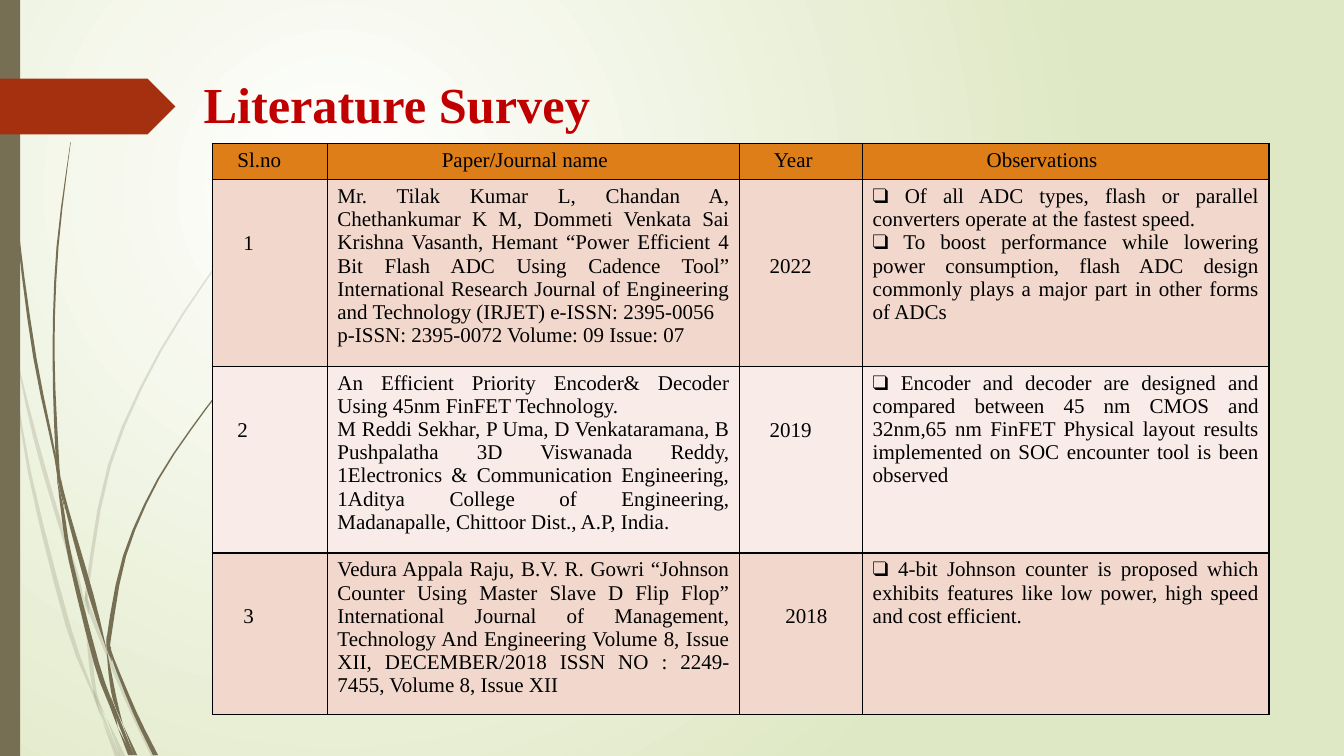
import dataclasses

import pptx
import pptx.dml.color
import pptx.enum.shapes
import pptx.enum.text
import pptx.oxml
import pptx.oxml.ns
import pptx.util

Cm = pptx.util.Cm
Pt = pptx.util.Pt
ALIGN = pptx.enum.text.PP_ALIGN
qn = pptx.oxml.ns.qn
DRAWING_NS = 'xmlns:a="http://schemas.openxmlformats.org/drawingml/2006/main"'


@dataclasses.dataclass(frozen=True)
class Theme:
    font: str = "Times New Roman"
    title_size: int = 36
    body_size: int = 15
    line_cm: float = 0.59
    title: str = "C00000"
    text: str = "000000"
    border: str = "000000"
    header: str = "DE7E18"
    bands: tuple = ("F2D8CC", "F9ECE8")
    stem: str = "766F54"
    tag: str = "A53010"
    glow: str = "FFFFFF"
    backdrop: str = "DFE8C4"


THEME = Theme()

# Pieces of grass: centre x, centre y and width along each piece, in cm
PALE_GRASS = [
    [(0, 7.16, 0), (.12, 8, .08), (.28, 8.89, 0)],
    [(.36, 8.76, 0), (.88, 11, .1), (1.52, 13.23, .1), (1.91, 14.43, .1), (2.13, 15.21, 0)],
    [(2.24, 15.14, 0), (2.29, 15.44, .1), (3.18, 17.6, .1), (3.87, 19.05, .13)],
    [(2.67, 18.06, 0), (3.09, 19.05, .13)],
    [(.28, 8.89, 0), (.75, 11.94, .08), (1.71, 15.75, .12), (2.35, 17.48, .05), (2.57, 18.14, 0)],
    [(2.13, 15.21, 0), (2.26, 16.41, .1), (2.4, 17.45, .08), (2.67, 18.06, 0)],
    [(7.92, 3.89, 0), (6.81, 5.02, .03), (5.8, 6.21, .04), (4.04, 8.85, .06),
     (2.76, 11.72, .08), (2.2, 14.83, .08), (2.24, 15.14, 0)],
    [(2.57, 18.14, 0), (2.96, 19.05, .13)],
    [(2.16, 14.88, 0), (2.18, 15.18, .1), (2.24, 15.49, 0)],
    [(2.36, 17.35, 0), (2.48, 17.78, .07), (3.02, 19.05, 0)],
]
DARK_GRASS = [
    [(.09, 0, .02), (.19, 2.79, .03), (.46, 5.92, .05), (.88, 9.02, .08),
     (1.4, 11.56, .05), (1.45, 12.22, 0)],
    [(1.52, 11.99, 0), (1.68, 12.8, .08), (2.3, 15.01, .13), (2.69, 16.38, 0)],
    [(2.79, 16.28, 0), (2.84, 16.58, .06), (3.4, 17.96, .1), (3.92, 19.03, .13)],
    [(1.45, 12.12, 0), (1.57, 12.83, .08), (1.78, 14.12, .1), (2.43, 16.71, .13),
     (2.81, 17.78, .1), (2.97, 18.34, 0)],
    [(1.78, 3.58, .01), (1.45, 6.22, .05), (1.35, 8.86, .05), (1.44, 11.43, .08), (1.52, 11.99, 0)],
    [(3.1, 18.26, 0), (3.42, 19.03, .08)],
    [(1.4, 11.4, 0), (1.49, 12.07, .08), (1.63, 12.83, 0)],
    [(6.62, 8.74, .03), (5.87, 9.49, .03), (5.19, 10.3, .04), (3.99, 12.07, .05),
     (3.14, 14.01, .08), (2.75, 16.05, .11), (2.79, 16.28, 0)],
    [(2.97, 18.34, 0), (3.28, 19.03, .1)],
    [(2.69, 16.38, 0), (2.78, 17, .08), (2.9, 17.65, .1), (3.1, 18.26, 0)],
    [(2.69, 16.03, 0), (2.74, 16.34, .1), (2.82, 16.66, 0)],
    [(2.79, 17.55, 0), (2.95, 18.05, .08), (3.34, 19.03, .08)],
]

# Column heading, its indent in cm, column width in cm
COLUMNS = [("Sl.no", .38, 2.9), ("Paper/Journal name", 2.63, 10.39),
           ("Year", .61, 3.1), ("Observations", 2.87, 10.24)]
HEADER_HEIGHT = .91

# Row height, then number and year as (text, indent in cm, lines down), papers, observations
SURVEY = [
    (4.3, ("1", .53, 2), ("2022", .5, 3),
     ["Mr. Tilak Kumar L, Chandan A, Chethankumar K M, Dommeti Venkata Sai Krishna Vasanth, "
      "Hemant “Power Efficient 4 Bit Flash ADC Using Cadence Tool” International Research "
      "Journal of Engineering and Technology (IRJET) e-ISSN: 2395-0056",
      "p-ISSN: 2395-0072 Volume: 09 Issue: 07"],
     [" Of all ADC types, flash or parallel converters operate at the fastest speed.",
      " To boost performance while lowering power consumption, flash ADC design commonly "
      "plays a major part in other forms of ADCs"]),
    (4.3, ("2", .38, 2), ("2019", .5, 2),
     ["An Efficient Priority Encoder& Decoder Using 45nm FinFET Technology.",
      "M Reddi Sekhar, P Uma, D Venkataramana, B Pushpalatha 3D Viswanada Reddy, "
      "1Electronics & Communication Engineering, 1Aditya College of Engineering, "
      "Madanapalle, Chittoor Dist., A.P, India."],
     [" Encoder and decoder are designed and compared between 45 nm CMOS and 32nm,65 nm "
      "FinFET Physical layout results implemented on SOC encounter tool is been observed"]),
    (3.7, ("3", .53, 2), ("2018", .9, 2),
     ["Vedura Appala Raju, B.V. R. Gowri “Johnson Counter Using Master Slave D Flip Flop” "
      "International Journal of Management, Technology And Engineering Volume 8, Issue XII, "
      "DECEMBER/2018 ISSN NO : 2249-7455, Volume 8, Issue XII"],
     [" 4-bit Johnson counter is proposed which exhibits features like low power, high speed "
      "and cost efficient."]),
]


def rgb(colour):
    return pptx.dml.color.RGBColor.from_string(colour)


def write(frame, lines, *, size=THEME.body_size, colour=THEME.text, bold=False,
          align=ALIGN.LEFT, indent=0, bullet=None):
    frame.word_wrap = True
    for index, line in enumerate(lines):
        paragraph = frame.paragraphs[0] if index == 0 else frame.add_paragraph()
        paragraph.alignment = align
        properties = paragraph._p.get_or_add_pPr()
        properties.set("marL", str(Cm(indent)))
        properties.set("indent", "0")
        if bullet:
            for mark in (f'buFont {DRAWING_NS} typeface="{THEME.font}"',
                         f'buChar {DRAWING_NS} char="{bullet}"'):
                properties.append(pptx.oxml.parse_xml(f"<a:{mark}/>"))
        run = paragraph.add_run()
        run.text = line
        run.font.name, run.font.size, run.font.bold = THEME.font, Pt(size), bold
        run.font.color.rgb = rgb(colour)
        paragraph._p.append(pptx.oxml.parse_xml(f'<a:endParaRPr {DRAWING_NS} sz="{size * 100}"/>'))


def paint(shape, colour, opacity=100):
    shape.shadow.inherit = False
    shape.fill.solid()
    shape.fill.fore_color.rgb = rgb(colour)
    shape.line.fill.background()
    if opacity < 100:
        tint = shape._element.spPr.find(qn("a:solidFill")).find(qn("a:srgbClr"))
        tint.append(pptx.oxml.parse_xml(f'<a:alpha {DRAWING_NS} val="{opacity * 1000}"/>'))


def smooth(knots, steps=3):
    """Catmull-Rom curve through the knots."""
    padded = [knots[0], *knots, knots[-1]]
    curve = []
    for a, b, c, d in zip(padded, padded[1:], padded[2:], padded[3:]):
        for t in (step / steps for step in range(steps)):
            curve.append(tuple(
                q + t * (r - p) / 2 + t**2 * (2 * p - 5 * q + 4 * r - s) / 2
                + t**3 * (3 * q - p - 3 * r + s) / 2
                for p, q, r, s in zip(a, b, c, d)))
    return curve + [knots[-1]]


def draw_backdrop(slide):
    fill = slide.background.fill
    fill.gradient()
    for stop, colour, position in zip(fill.gradient_stops, (THEME.glow, THEME.backdrop), (0, 1)):
        stop.color.rgb = rgb(colour)
        stop.position = position
    gradient = slide._element.find(".//" + qn("a:gradFill"))
    gradient.replace(gradient.find(qn("a:lin")), pptx.oxml.parse_xml(
        f'<a:path {DRAWING_NS} path="circle">'
        '<a:fillToRect l="50000" t="50000" r="100000" b="100000"/></a:path>'))


def draw_side_decor(slide, left, top, height):
    # Grass
    for pieces, opacity in ((PALE_GRASS, 20), (DARK_GRASS, 100)):
        for piece in pieces:
            curve = smooth(piece) if len(piece) > 2 else piece
            outline = [(Cm(x - w / 2), Cm(y)) for x, y, w in curve]
            outline += [(Cm(x + w / 2), Cm(y)) for x, y, w in reversed(curve)]
            builder = slide.shapes.build_freeform(*outline[0])
            builder.add_line_segments(outline[1:])
            paint(builder.convert_to_shape(Cm(left), Cm(top)), THEME.stem, opacity)
    # Edge bar and arrow tag
    preset = pptx.enum.shapes.MSO_SHAPE
    bar = slide.shapes.add_shape(preset.RECTANGLE, Cm(left), Cm(top), Cm(.51), Cm(height))
    paint(bar, THEME.stem)
    tag = slide.shapes.add_shape(preset.PENTAGON, Cm(left), Cm(top + 1.98), Cm(4.42), Cm(1.41))
    paint(tag, THEME.tag)


def draw_title(slide, left, top, width, height):
    title = slide.shapes.add_textbox(Cm(left), Cm(top), Cm(width), Cm(height))
    title.text_frame.vertical_anchor = pptx.enum.text.MSO_ANCHOR.TOP
    write(title.text_frame, ["Literature Survey"], size=THEME.title_size,
          colour=THEME.title, bold=True)


def fill_cell(cell, lines, colour, lines_down=0, **text_format):
    cell.fill.solid()
    cell.fill.fore_color.rgb = rgb(colour)
    cell.margin_top = Cm(.13 + THEME.line_cm * lines_down)
    for index, side in enumerate("LRTB"):
        cell._tc.tcPr.insert(index, pptx.oxml.parse_xml(
            f'<a:ln{side} {DRAWING_NS} w="{Pt(1)}"><a:solidFill>'
            f'<a:srgbClr val="{THEME.border}"/></a:solidFill></a:ln{side}>'))
    write(cell.text_frame, lines, **text_format)


def draw_survey(slide, left, top):
    widths = [width for _, _, width in COLUMNS]
    heights = [HEADER_HEIGHT] + [entry[0] for entry in SURVEY]
    survey = slide.shapes.add_table(len(heights), len(widths), Cm(left), Cm(top),
                                    Cm(sum(widths)), Cm(sum(heights))).table
    for row, height in zip(survey.rows, heights):
        row.height = Cm(height)
    # Headings
    for index, (heading, indent, width) in enumerate(COLUMNS):
        survey.columns[index].width = Cm(width)
        fill_cell(survey.cell(0, index), [heading], THEME.header, indent=indent)
    # Papers
    for row, (_, number, year, papers, observations) in enumerate(SURVEY, 1):
        band = THEME.bands[(row - 1) % 2]
        for column, (label, indent, lines_down) in ((0, number), (2, year)):
            fill_cell(survey.cell(row, column), [label], band, lines_down, indent=indent)
        fill_cell(survey.cell(row, 1), papers, band, align=ALIGN.JUSTIFY)
        fill_cell(survey.cell(row, 3), observations, band, align=ALIGN.JUSTIFY, bullet="❑")


def main():
    deck = pptx.Presentation()
    deck.slide_width, deck.slide_height = Cm(33.87), Cm(19.05)
    slide = deck.slides.add_slide(deck.slide_layouts[6])
    draw_backdrop(slide)
    draw_side_decor(slide, 0, 0, 19.05)
    draw_title(slide, 4.88, 1.73, 27.08, 2.08)
    draw_survey(slide, 5.35, 3.62)
    deck.save("out.pptx")


if __name__ == "__main__":
    main()
